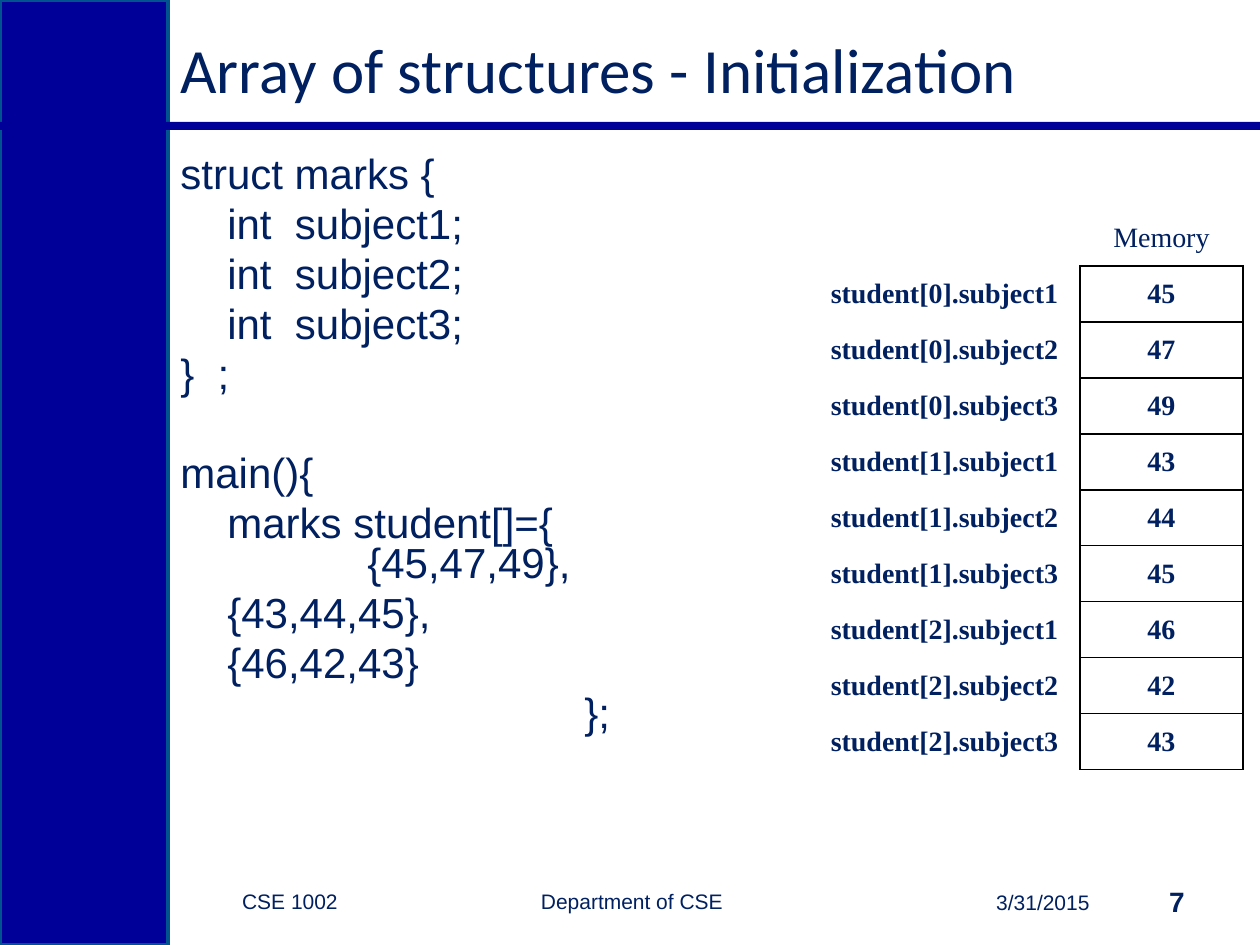
from lxml.etree import SubElement
from pptx import Presentation
from pptx.dml.color import RGBColor
from pptx.enum.shapes import MSO_SHAPE
from pptx.enum.text import MSO_ANCHOR, PP_ALIGN
from pptx.oxml.ns import qn
from pptx.util import Pt

PX = 914400 / 126
NAVY, BLUE, EDGE, BLACK = "002060", "000099", "00538E", "000000"


def px(*lengths):
    return [round(n * PX) for n in lengths]


def write(p, text, align, **font):
    p.alignment = align
    r = p.add_run()
    r.text = text
    r.font.color.rgb = RGBColor.from_string(NAVY)
    for name, value in font.items():
        setattr(r.font, name, value)


prs = Presentation()
prs.slide_width, prs.slide_height = px(1260, 945)
s = prs.slides.add_slide(prs.slide_layouts[6])

# Side band and title rule
for box, line in [((0, 0, 168, 945), EDGE), ((0, 122, 1260, 8), None)]:
    sp = s.shapes.add_shape(MSO_SHAPE.RECTANGLE, *px(*box))
    sp.shadow.inherit = False
    sp.fill.solid()
    sp.fill.fore_color.rgb = RGBColor.from_string(BLUE)
    if line:
        sp.line.color.rgb = RGBColor.from_string(line)
        sp.line.width = Pt(2)
    else:
        sp.line.fill.background()

# Title and footer
small = {"name": "Arial", "size": Pt(12)}
labels = [
    ((168, 21, 987, 95), "Array of structures - Initialization", PP_ALIGN.LEFT,
     {"name": "Calibri", "size": Pt(36)}),
    ((190, 876, 200, 50), "CSE 1002", PP_ALIGN.CENTER, small),
    ((482, 876, 300, 50), "Department of CSE", PP_ALIGN.CENTER, small),
    ((882, 877, 220, 50), "3/31/2015", PP_ALIGN.RIGHT, small),
    ((1102, 876, 95, 50), "7", PP_ALIGN.RIGHT,
     {"name": "Arial", "size": Pt(16), "bold": True}),
]
for box, text, align, font in labels:
    tf = s.shapes.add_textbox(*px(*box)).text_frame
    tf.word_wrap = True
    tf.vertical_anchor = MSO_ANCHOR.MIDDLE
    write(tf.paragraphs[0], text, align, **font)

# Code: indent in px, space before in points, text
code = [
    (0, 0, "struct marks {"),
    (47, 5.5, "int  subject1;"),
    (47, 5.5, "int  subject2;"),
    (47, 5.5, "int  subject3;"),
    (0, 5.5, "}  ;"),
    (0, 33.5, "main(){"),
    (47, 5.5, "marks student[]={"),
    (187, 0, "{45,47,49},"),
    (47, 5.5, "{43,44,45},"),
    (47, 5.5, "{46,42,43}"),
    (404, 5.5, "};"),
]
tf = s.shapes.add_textbox(*px(168, 151, 620, 710)).text_frame
tf.word_wrap = True
for i, (indent, before, text) in enumerate(code):
    p = tf.add_paragraph() if i else tf.paragraphs[0]
    p.line_spacing = 0.8
    p.space_before = Pt(before)
    write(p, text, PP_ALIGN.LEFT, name="Arial", size=Pt(24))
    p._p.get_or_add_pPr().set("marL", str(px(indent)[0]))

# Memory table
marks = [[45, 47, 49], [43, 44, 45], [46, 42, 43]]
rows = [("", "Memory")]
for i, student in enumerate(marks):
    for j, mark in enumerate(student, 1):
        rows.append((f"student[{i}].subject{j}", str(mark)))

table = s.shapes.add_table(len(rows), 2, *px(809, 210, 434, 560)).table
table.first_row = table.horz_banding = False
for col, width in zip(table.columns, px(271, 163)):
    col.width = width
for i, row in enumerate(rows):
    table.rows[i].height = px(56)[0]
    for j, text in enumerate(row):
        cell = table.cell(i, j)
        cell.vertical_anchor = MSO_ANCHOR.MIDDLE
        (cell.margin_left, cell.margin_right,
         cell.margin_top, cell.margin_bottom) = px(9, 9, 1, 0)
        if text:
            write(cell.text_frame.paragraphs[0], text, PP_ALIGN.CENTER,
                  name="Times New Roman", size=Pt(16), bold=i > 0)
        # Only the memory cells are boxed
        boxed = ("LRTB" if j else "R") if i else ("B" if j else "")
        tcPr = cell._tc.get_or_add_tcPr()
        for side in "LRTB":
            ln = SubElement(tcPr, qn(f"a:ln{side}"), w=str(Pt(1)))
            if side in boxed:
                fill = SubElement(ln, qn("a:solidFill"))
                SubElement(fill, qn("a:srgbClr"), val=BLACK)
            else:
                SubElement(ln, qn("a:noFill"))
        cell.fill.background()

prs.save("out.pptx")
